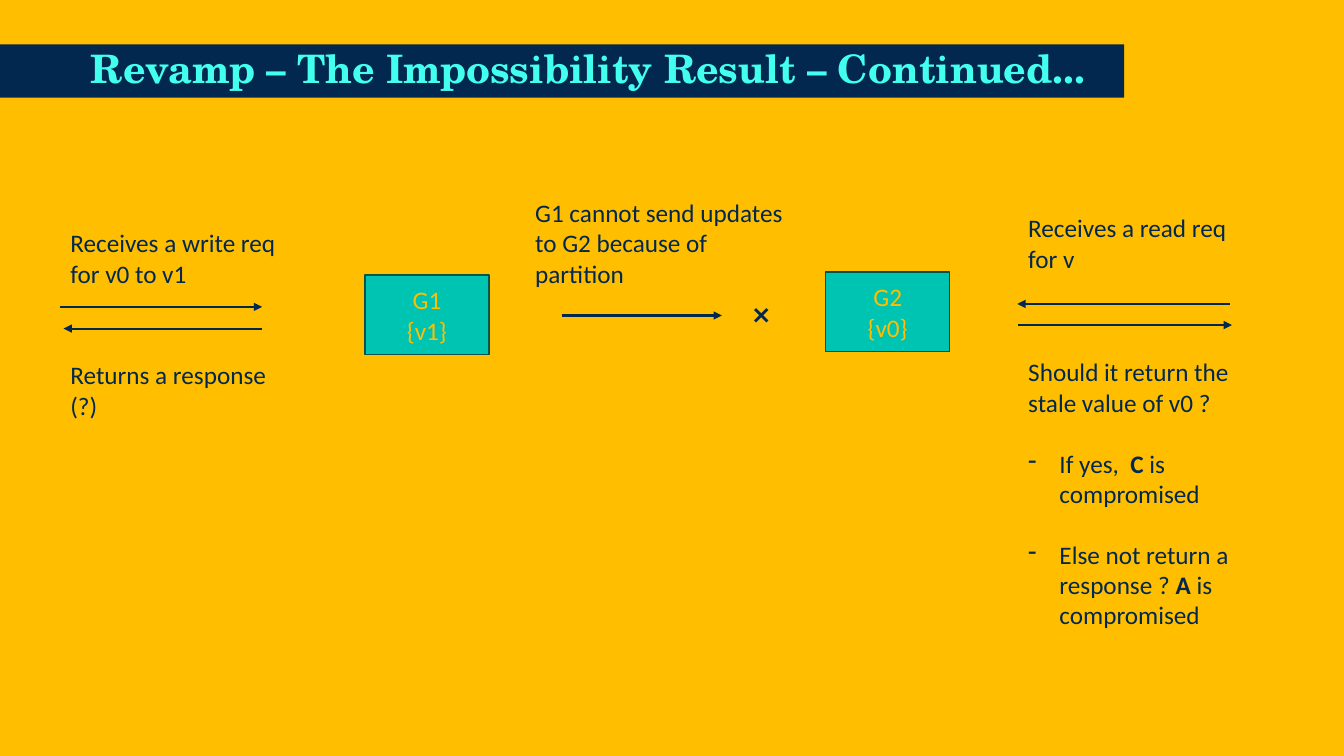
from dataclasses import dataclass

from lxml import etree
from pptx import Presentation
from pptx.dml.color import RGBColor
from pptx.enum.shapes import MSO_CONNECTOR, MSO_SHAPE
from pptx.enum.text import MSO_ANCHOR, PP_ALIGN
from pptx.oxml.ns import qn
from pptx.util import Inches, Pt

RECT = MSO_SHAPE.RECTANGLE
LINE = MSO_CONNECTOR.STRAIGHT
MID = MSO_ANCHOR.MIDDLE
LEFT, CENTER = PP_ALIGN.LEFT, PP_ALIGN.CENTER


@dataclass(frozen=True)
class Theme:
    back: str = "FFBE00"
    ink: str = "022850"
    node: str = "00C4B2"
    edge: str = "00564E"
    head: str = "43FFEE"
    body_font: str = "Calibri"
    head_font: str = "TeX Gyre Schola"
    body: int = 18
    title: int = 28
    gap: int = 22


class Board:
    """Draws styled elements on a slide with a grid of ten cells to the inch."""

    def __init__(self, slide, theme):
        self.slide, self.theme = slide, theme
        self.paint(slide.background.fill, theme.back)

    def cell(self, *vals):
        return [Inches(val / 10) for val in vals]

    def paint(self, fill, color):
        fill.solid()
        fill.fore_color.rgb = RGBColor.from_string(color)

    def run(self, para, text, color, bold=False, size=None, font=None):
        run = para.add_run()
        run.text = text
        run.font.name = font or self.theme.body_font
        run.font.size = Pt(size or self.theme.body)
        run.font.bold = bold
        run.font.color.rgb = RGBColor.from_string(color)

    def rect(self, col, row, wide, high, color):
        box = self.slide.shapes.add_shape(RECT, *self.cell(col, row, wide, high))
        box.shadow.inherit = False
        self.paint(box.fill, color)
        box.line.fill.background()
        box.text_frame.vertical_anchor = MID
        return box

    def title(self, col, row, wide, high, text):
        box = self.rect(col, row, wide, high, self.theme.ink)
        frame = box.text_frame
        frame.margin_left, frame.margin_right = self.cell(9, 0)
        para = frame.paragraphs[0]
        para.alignment, para.line_spacing = LEFT, 0.9
        self.run(para, text, self.theme.head, True, self.theme.title, self.theme.head_font)

    def node(self, col, row, *lines):
        box = self.rect(col, row, 12.3, 7.9, self.theme.node)
        box.line.color.rgb = RGBColor.from_string(self.theme.edge)
        box.line.width = Pt(1)
        frame = box.text_frame
        for num, text in enumerate(lines):
            para = frame.add_paragraph() if num else frame.paragraphs[0]
            para.alignment = CENTER
            self.run(para, text, self.theme.back)

    def note(self, col, row, wide, high, text):
        box = self.slide.shapes.add_textbox(*self.cell(col, row, wide, high))
        frame = box.text_frame
        frame.word_wrap = True
        self.run(frame.paragraphs[0], text, self.theme.ink)
        return frame

    def point(self, frame, *parts):
        para = frame.add_paragraph()
        para.space_before = Pt(self.theme.gap)
        props = para._p.get_or_add_pPr()
        dent = Inches(0.31)
        props.set("marL", str(dent))
        props.set("indent", str(-dent))
        etree.SubElement(props, qn("a:buChar")).set("char", "-")
        for text, bold in parts:
            self.run(para, text, self.theme.ink, bold)

    def arrow(self, start, end, row):
        line = self.slide.shapes.add_connector(LINE, *self.cell(start, row, end, row))
        line.line.color.rgb = RGBColor.from_string(self.theme.ink)
        line.line.width = Pt(1.5)
        etree.SubElement(line.line._get_or_add_ln(), qn("a:tailEnd")).set("type", "triangle")
        etree.SubElement(line._element.spPr, qn("a:effectLst"))


def main():
    deck = Presentation()
    deck.slide_width, deck.slide_height = Inches(13.33), Inches(7.5)
    board = Board(deck.slides.add_slide(deck.slide_layouts[6]), Theme())
    west, east, wide = 6, 101, 23.6

    board.title(0, 4.4, 111.5, 5.3, "Revamp – The Impossibility Result – Continued...")
    board.node(36.2, 27.3, "G1", "{v1}")
    board.node(81.9, 27, "G2", "{v0}")

    for start, end, row in (
        (west, 26, 30.45), (26, 6.3, 32.6),
        (55.7, 71.6, 31.3),
        (122, 100.9, 30.15), (east, 122.2, 32.25),
    ):
        board.arrow(start, end, row)

    board.note(west, 22.1, wide, 7.1, "Receives a write req for v0 to v1")
    board.note(west, 35.2, wide, 7.1, "Returns a response (?)")
    board.note(52.1, 19.1, 27, 10.1, "G1 cannot send updates to G2 because of partition")
    board.note(73.7, 29.2, 4.4, 4, "❌")
    board.note(east, 20.6, wide, 7.1, "Receives a read req for v")
    reply = board.note(east, 34.9, wide, 28.3, "Should it return the stale value of v0 ?")
    board.point(reply, ("If yes,  ", False), ("C ", True), ("is compromised", False))
    board.point(reply, ("Else not return a response ? ", False), ("A ", True),
                ("is compromised", False))
    deck.save("out.pptx")


if __name__ == "__main__":
    main()
